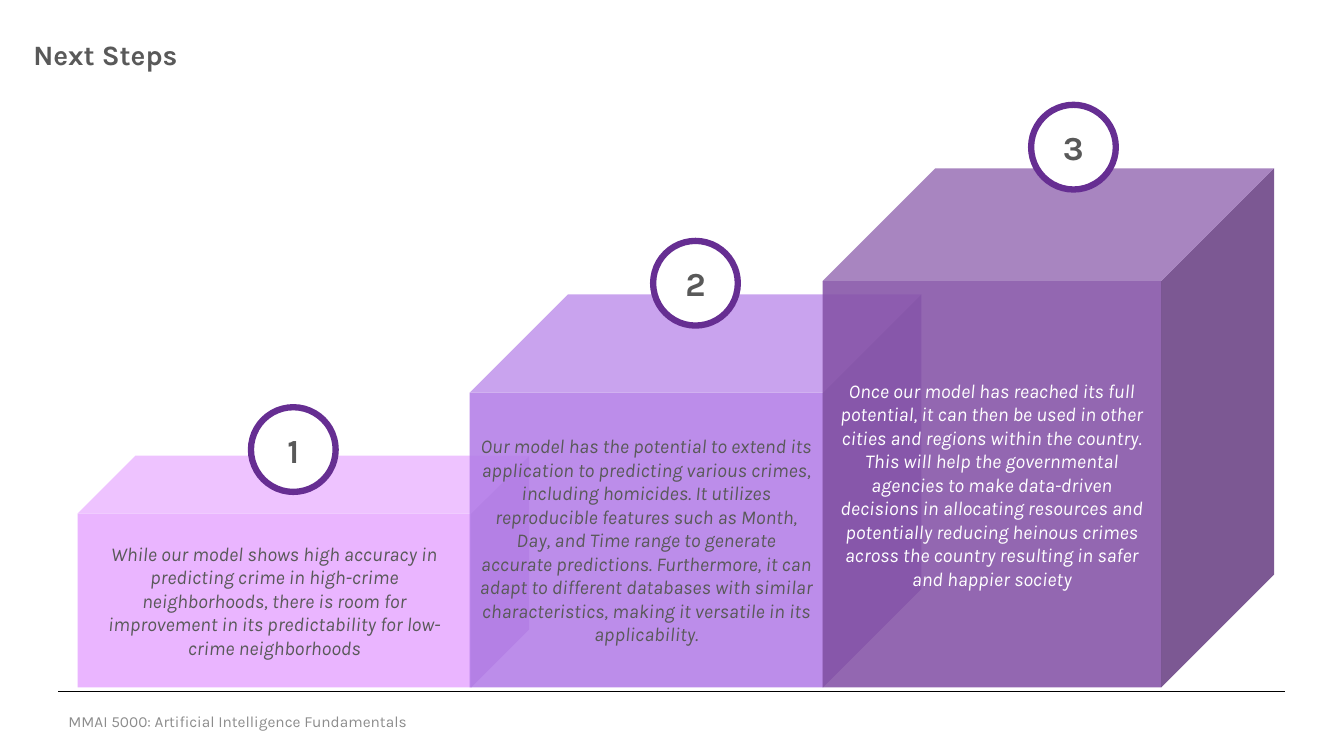
"""Build the Next Steps slide: three rising cubes with numbered badges."""
from dataclasses import dataclass

from lxml.etree import SubElement
from pptx import Presentation
from pptx.dml.color import RGBColor
from pptx.enum.shapes import MSO_CONNECTOR, MSO_SHAPE
from pptx.enum.text import MSO_ANCHOR, MSO_AUTO_SIZE, PP_ALIGN
from pptx.oxml.ns import qn
from pptx.shapes.autoshape import Shape
from pptx.slide import Slide
from pptx.util import Pt


@dataclass(frozen=True)
class Theme:
    font: str = "Karla"
    ink: str = "595959"
    muted: str = "8C8C8C"
    white: str = "FFFFFF"
    rule: str = "000000"
    ring: str = "662E92"
    title_size: float = 20
    badge_size: float = 24
    body_size: float = 14
    footer_size: float = 11
    cube_alpha: int = 88


@dataclass(frozen=True)
class Step:
    left: float
    height: float
    fill: str
    ink: str
    badge_left: float
    badge_top: float
    text: str


THEME = Theme()
CUBE_WIDTH = 322.56
CUBE_BOTTOM = 491.04
BADGE_SIZE = 60.48
RULE_TOP = 493.92

STEPS = [
    Step(55.44, 165.6, "E8ABFF", THEME.ink, 179.28, 290.88,
         "While our model shows high accuracy in predicting crime in high-crime "
         "neighborhoods, there is room for improvement in its predictability for "
         "low-crime neighborhoods"),
    Step(335.52, 280.8, "B37EE8", THEME.ink, 466.56, 172.08,
         "Our model has the potential to extend its application to predicting "
         "various crimes, including homicides. It utilizes reproducible features "
         "such as Month, Day, and Time range to generate accurate predictions. "
         "Furthermore, it can adapt to different databases with similar "
         "characteristics, making it versatile in its applicability."),
    Step(587.52, 370.8, "8553A7", THEME.white, 736.56, 74.88,
         "Once our model has reached its full potential, it can then be used in "
         "other cities and regions within the country. This will help the "
         "governmental agencies to make data-driven decisions in allocating "
         "resources and potentially reducing heinous crimes across the country "
         "resulting in safer and happier society"),
]


def write(box: Shape, text: str, size: float, color: str,
          align: PP_ALIGN = PP_ALIGN.LEFT, bold: bool = False,
          italic: bool = False) -> None:
    frame = box.text_frame
    frame.text = text
    frame.word_wrap = True
    frame.auto_size = MSO_AUTO_SIZE.NONE
    frame.vertical_anchor = MSO_ANCHOR.MIDDLE
    para = frame.paragraphs[0]
    para.alignment = align
    para.font.name = THEME.font
    para.font.size = Pt(size)
    para.font.bold = bold
    para.font.italic = italic
    para.font.color.rgb = RGBColor.from_string(color)


def add_filled(page: Slide, kind: MSO_SHAPE, left: float, top: float,
               width: float, height: float, fill: str) -> Shape:
    shape = page.shapes.add_shape(kind, Pt(left), Pt(top), Pt(width), Pt(height))
    shape.shadow.inherit = False
    shape.fill.solid()
    shape.fill.fore_color.rgb = RGBColor.from_string(fill)
    return shape


def add_title(page: Slide, text: str) -> None:
    title = page.shapes.title
    title.left, title.top = Pt(16.56), Pt(19.44)
    title.width, title.height = Pt(925.2), Pt(41.04)
    write(title, text, THEME.title_size, THEME.ink, bold=True)
    title.text_frame.paragraphs[0].line_spacing = 0.9


def add_footer(page: Slide, text: str) -> None:
    footer = page.shapes.add_textbox(Pt(41.76), Pt(501.12), Pt(324), Pt(28.8))
    write(footer, text, THEME.footer_size, THEME.muted)
    rule = page.shapes.add_connector(
        MSO_CONNECTOR.STRAIGHT, Pt(41.76), Pt(RULE_TOP), Pt(918), Pt(RULE_TOP))
    rule.line.color.rgb = RGBColor.from_string(THEME.rule)
    rule.line.width = Pt(1)
    SubElement(rule._element.spPr, qn("a:effectLst"))


def add_cube(page: Slide, step: Step) -> None:
    cube = add_filled(page, MSO_SHAPE.CUBE, step.left, CUBE_BOTTOM - step.height,
                      CUBE_WIDTH, step.height, step.fill)
    color = cube._element.spPr.find(qn("a:solidFill")).find(qn("a:srgbClr"))
    SubElement(color, qn("a:alpha")).set("val", str(THEME.cube_alpha * 1000))
    cube.line.fill.background()
    write(cube, step.text, THEME.body_size, step.ink, PP_ALIGN.CENTER, italic=True)


def add_badge(page: Slide, step: Step, number: int) -> None:
    badge = add_filled(page, MSO_SHAPE.OVAL, step.badge_left, step.badge_top,
                       BADGE_SIZE, BADGE_SIZE, THEME.white)
    badge.line.color.rgb = RGBColor.from_string(THEME.ring)
    badge.line.width = Pt(4.5)
    write(badge, str(number), THEME.badge_size, THEME.ink, PP_ALIGN.CENTER, bold=True)


def main() -> None:
    deck = Presentation()
    deck.slide_width, deck.slide_height = Pt(960), Pt(540)
    page = deck.slides.add_slide(deck.slide_layouts.get_by_name("Title Only"))
    add_footer(page, "MMAI 5000: Artificial Intelligence Fundamentals")
    add_title(page, "Next Steps")
    for step in STEPS:
        add_cube(page, step)
    for number, step in enumerate(STEPS, start=1):
        add_badge(page, step, number)
    deck.save("out.pptx")


if __name__ == "__main__":
    main()
